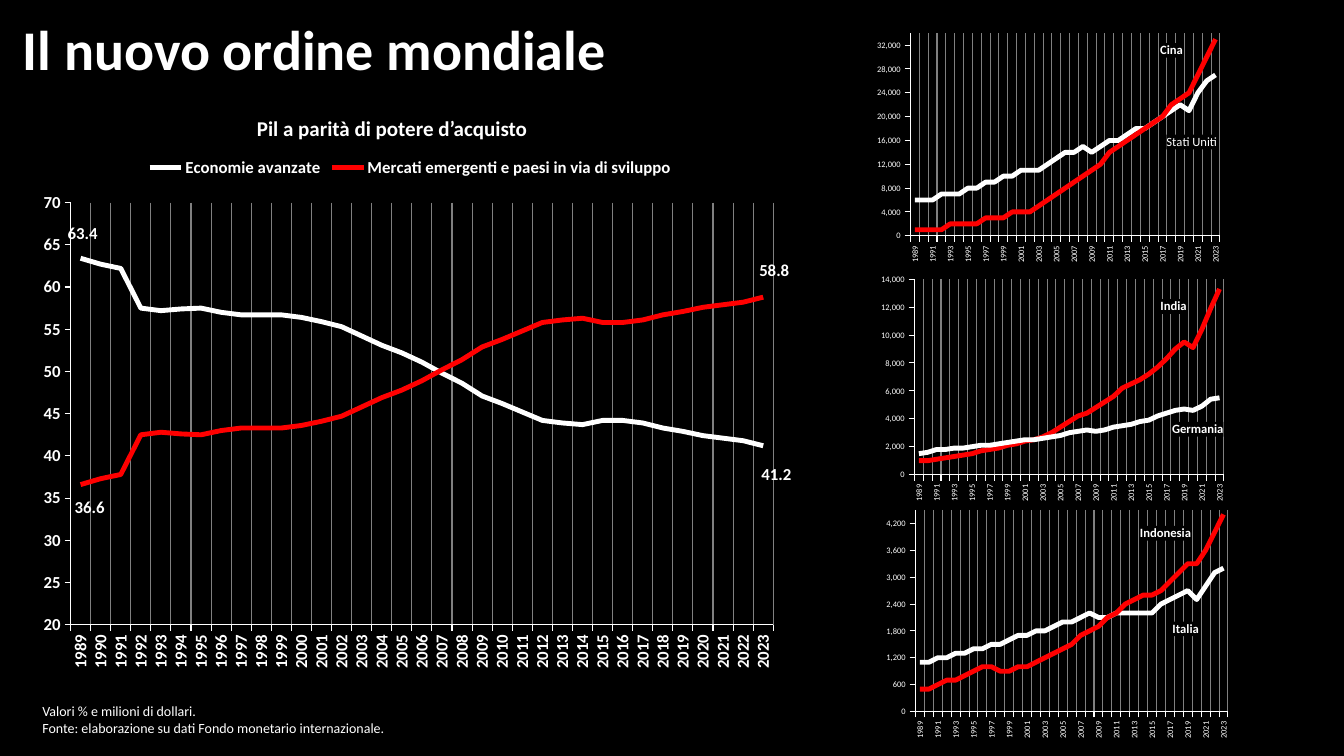
"""Build the "Il nuovo ordine mondiale" slide with one large and three small line charts."""
from dataclasses import dataclass, field

from pptx import Presentation
from pptx.chart.data import CategoryChartData
from pptx.dml.color import RGBColor
from pptx.enum.chart import XL_CHART_TYPE as ChartType, XL_LABEL_POSITION as LabelPosition
from pptx.enum.chart import XL_LEGEND_POSITION as LegendPosition, XL_TICK_MARK as TickMark
from pptx.enum.text import MSO_ANCHOR as Anchor, PP_ALIGN as Align
from pptx.oxml import parse_xml
from pptx.oxml.ns import nsdecls, qn
from pptx.util import Inches, Pt


@dataclass(frozen=True)
class Theme:
    """Colours and type sizes of the slide."""
    black: RGBColor = RGBColor(0, 0, 0)
    white: RGBColor = RGBColor(255, 255, 255)
    red: RGBColor = RGBColor(255, 0, 0)
    grid: RGBColor = RGBColor(128, 128, 128)
    font: str = "Calibri"
    title: float = 40
    subtitle: float = 15
    note: float = 10
    main_chart: float = 12
    small_chart: float = 6
    country: float = 9
    series_line: float = 3.5
    thin_line: float = 0.75


THEME = Theme()
YEARS = [str(year) for year in range(1989, 2024)]


@dataclass(frozen=True)
class Box:
    """A rectangle in inches."""
    left: float
    top: float
    width: float
    height: float


@dataclass(frozen=True)
class Label:
    """A point label centred at a place in inches; empty text shows the value."""
    index: int
    x: float
    y: float
    text: str = ""
    bold: bool = True


@dataclass(frozen=True)
class Line:
    """One series of a chart."""
    name: str
    color: RGBColor
    values: list[float]
    labels: list[Label]


@dataclass(frozen=True)
class LineChart:
    """A line chart with its plot area and value scale."""
    box: Box
    plot: Box
    low: float
    high: float
    step: float
    lines: list[Line]
    number_format: str = "#,##0"
    size: float = THEME.small_chart
    label_size: float = THEME.country
    bold: bool = False
    legend: bool = False
    year_skip: int = 2


@dataclass(frozen=True)
class TextBlock:
    """A text box with equal formatting in all paragraphs."""
    box: Box
    paragraphs: list[str]
    size: float
    bold: bool = False
    align: Align = Align.LEFT
    anchor: Anchor = Anchor.MIDDLE
    frame: dict = field(default_factory=lambda: dict(
        margin_left=Inches(0.13), margin_right=Inches(0.13),
        margin_top=Inches(0.07), margin_bottom=Inches(0.07)))


TEXTS = [
    TextBlock(Box(0.13, 0, 9, 0.95), ["Il nuovo ordine mondiale"], THEME.title, True, frame={}),
    TextBlock(Box(0.29, 6.9, 4.55, 0.47),
              ["Valori % e milioni di dollari.",
               "Fonte: elaborazione su dati Fondo monetario internazionale."],
              THEME.note, align=Align.JUSTIFY),
    TextBlock(Box(1.86, 1.08, 4.06, 0.39), ["Pil a parità di potere d’acquisto"],
              THEME.subtitle, True, Align.CENTER, Anchor.TOP),
]

ADVANCED = [63.4, 62.7, 62.2, 57.5, 57.2, 57.4, 57.5, 57.0, 56.7, 56.7, 56.7, 56.4, 55.9, 55.3,
            54.2, 53.1, 52.2, 51.1, 49.8, 48.6, 47.1, 46.2, 45.2, 44.2, 43.9, 43.7, 44.2, 44.2,
            43.9, 43.3, 42.9, 42.4, 42.1, 41.8, 41.2]
EMERGING = [round(100 - share, 1) for share in ADVANCED]
UNITED_STATES = [6000, 6000, 6000, 7000, 7000, 7000, 8000, 8000, 9000, 9000, 10000, 10000, 11000,
                 11000, 11000, 12000, 13000, 14000, 14000, 15000, 14000, 15000, 16000, 16000,
                 17000, 18000, 18000, 19000, 20000, 21000, 22000, 21000, 24000, 26000, 27000]
CHINA = [1000, 1000, 1000, 1000, 2000, 2000, 2000, 2000, 3000, 3000, 3000, 4000, 4000, 4000, 5000,
         6000, 7000, 8000, 9000, 10000, 11000, 12000, 14000, 15000, 16000, 17000, 18000, 19000,
         20000, 22000, 23000, 24000, 27000, 30000, 33000]
INDIA = [1000, 1000, 1100, 1200, 1300, 1400, 1500, 1700, 1800, 1900, 2100, 2200, 2400, 2500, 2700,
         3000, 3400, 3800, 4200, 4400, 4800, 5200, 5600, 6200, 6500, 6800, 7200, 7700, 8300, 9000,
         9500, 9100, 10400, 11900, 13300]
GERMANY = [1500, 1600, 1800, 1800, 1900, 1900, 2000, 2100, 2100, 2200, 2300, 2400, 2500, 2500,
           2600, 2700, 2800, 3000, 3100, 3200, 3100, 3200, 3400, 3500, 3600, 3800, 3900, 4200,
           4400, 4600, 4700, 4600, 4900, 5400, 5500]
ITALY = [1100, 1100, 1200, 1200, 1300, 1300, 1400, 1400, 1500, 1500, 1600, 1700, 1700, 1800, 1800,
         1900, 2000, 2000, 2100, 2200, 2100, 2100, 2200, 2200, 2200, 2200, 2200, 2400, 2500, 2600,
         2700, 2500, 2800, 3100, 3200]
INDONESIA = [500, 500, 600, 700, 700, 800, 900, 1000, 1000, 900, 900, 1000, 1000, 1100, 1200, 1300,
             1400, 1500, 1700, 1800, 1900, 2100, 2200, 2400, 2500, 2600, 2600, 2700, 2900, 3100,
             3300, 3300, 3600, 4000, 4400]

CHARTS = [
    LineChart(Box(0.29, 1.45, 7.56, 5.29), Box(0.7, 2.01, 6.97, 4.19), 20, 70, 5, [
        Line("Economie avanzate", THEME.white, ADVANCED,
             [Label(0, 0.82, 2.32), Label(34, 7.7, 4.71)]),
        Line("Mercati emergenti e paesi in via di sviluppo", THEME.red, EMERGING,
             [Label(0, 0.89, 5.04), Label(34, 7.68, 2.69)]),
    ], "0", THEME.main_chart, THEME.main_chart, True, True, 1),
    LineChart(Box(8.64, 0.29, 3.54, 2.36), Box(9.03, 0.33, 3.07, 2.01), 0, 34000, 4000, [
        Line("Stati Uniti", THEME.white, UNITED_STATES,
             [Label(29, 11.82, 1.41, "Stati Uniti", False)]),
        Line("Cina", THEME.red, CHINA, [Label(29, 11.62, 0.5, "Cina")]),
    ]),
    LineChart(Box(8.68, 2.67, 3.54, 2.36), Box(9.07, 2.77, 3.07, 1.94), 0, 14000, 2000, [
        Line("India", THEME.red, INDIA, [Label(29, 11.64, 3.04, "India")]),
        Line("Germania", THEME.white, GERMANY, [Label(29, 11.88, 4.26, "Germania")]),
    ]),
    LineChart(Box(8.71, 5.01, 3.54, 2.36), Box(9.08, 5.06, 3.1, 2), 0, 4500, 600, [
        Line("Italia", THEME.white, ITALY, [Label(19, 11.76, 6.24, "Italia")]),
        Line("Indonesia", THEME.red, INDONESIA, [Label(29, 11.56, 5.29, "Indonesia")]),
    ]),
]


def apply(target, values: dict) -> None:
    """Set each named attribute on the target."""
    for name, value in values.items():
        setattr(target, name, value)


def style_font(font, size: float, bold: bool) -> None:
    """Give a font the theme's face and colour."""
    apply(font, dict(name=THEME.font, size=Pt(size), bold=bold))
    font.color.rgb = THEME.white


def style_line(line, color: RGBColor, width: float) -> None:
    """Give a line its colour and width."""
    line.color.rgb = color
    line.width = Pt(width)


def inches(box: Box) -> list[int]:
    """Return the box as lengths."""
    return [Inches(side) for side in (box.left, box.top, box.width, box.height)]


def chart_layout(**values: float):
    """Return a manual layout element; a width makes it an inner plot layout."""
    modes = {"layoutTarget": "inner", "xMode": "edge", "yMode": "edge"} if "w" in values else {}
    items = "".join(f'<c:{name} val="{value}"/>' for name, value in {**modes, **values}.items())
    return parse_xml(f'<c:layout {nsdecls("c")}><c:manualLayout>{items}</c:manualLayout></c:layout>')


def chart_fill(fill: str):
    """Return chart shape properties with the given fill and no line."""
    return parse_xml(f'<c:spPr {nsdecls("c", "a")}>{fill}<a:ln><a:noFill/></a:ln></c:spPr>')


def add_text(slide, block: TextBlock) -> None:
    """Add one text box."""
    frame = slide.shapes.add_textbox(*inches(block.box)).text_frame
    apply(frame, dict(word_wrap=True, vertical_anchor=block.anchor, **block.frame))
    frame.text = "\n".join(block.paragraphs)
    for paragraph in frame.paragraphs:
        paragraph.alignment = block.align
        style_font(paragraph.runs[0].font, block.size, block.bold)


def add_label(series, line: Line, label: Label, spec: LineChart) -> None:
    """Label one point and move the label from the point to its place."""
    data_label = series.points[label.index].data_label
    if label.text:
        data_label.text_frame.text = label.text
        font = data_label.text_frame.paragraphs[0].runs[0].font
    else:
        font = data_label.font
    style_font(font, spec.label_size, label.bold)
    data_label.position = LabelPosition.CENTER
    plot, value = spec.plot, line.values[label.index]
    point_x = plot.left + plot.width * (label.index + 0.5) / len(YEARS)
    point_y = plot.top + plot.height * (spec.high - value) / (spec.high - spec.low)
    element = series.data_labels._element.xpath(f'c:dLbl[c:idx/@val="{label.index}"]')[0]
    place = chart_layout(x=(label.x - point_x) / spec.box.width,
                         y=(label.y - point_y) / spec.box.height)
    element.find(qn("c:idx")).addnext(place)
    text = element.find(qn("c:tx"))
    fill = chart_fill(f'<a:solidFill><a:srgbClr val="{THEME.black}"/></a:solidFill>')
    (place if text is None else text).addnext(fill)


def add_line_chart(slide, spec: LineChart) -> None:
    """Add one line chart with its axes, series and labels."""
    data = CategoryChartData(number_format="General")
    data.categories = YEARS
    for line in spec.lines:
        data.add_series(line.name, line.values)
    chart = slide.shapes.add_chart(ChartType.LINE, *inches(spec.box), data).chart
    apply(chart, dict(has_title=False, has_legend=spec.legend))
    style_font(chart.font, spec.size, spec.bold)
    if spec.legend:
        apply(chart.legend, dict(position=LegendPosition.TOP, include_in_layout=False))
        style_font(chart.legend.font, spec.size, spec.bold)
    chart.plots[0].vary_by_categories = False

    years, scale = chart.category_axis, chart.value_axis
    apply(scale, dict(minimum_scale=spec.low, maximum_scale=spec.high, major_unit=spec.step))
    apply(scale.tick_labels, dict(number_format=spec.number_format, number_format_is_linked=False))
    for axis, has_grid in ((years, True), (scale, False)):
        apply(axis, dict(has_major_gridlines=has_grid, major_tick_mark=TickMark.OUTSIDE,
                         minor_tick_mark=TickMark.NONE))
        style_line(axis.format.line, THEME.white, THEME.thin_line)
        style_font(axis.tick_labels.font, spec.size, spec.bold)
    style_line(years.major_gridlines.format.line, THEME.grid, THEME.thin_line)
    years._element.xpath("c:txPr/a:bodyPr")[0].set("rot", "-5400000")
    skip = parse_xml(f'<c:tickLblSkip {nsdecls("c")} val="{spec.year_skip}"/>')
    years._element.find(qn("c:noMultiLvlLbl")).addprevious(skip)

    for series, line in zip(chart.plots[0].series, spec.lines):
        series.smooth = False
        style_line(series.format.line, line.color, THEME.series_line)
        series.data_labels.show_value = False
        for leader in series.data_labels._element.xpath("c:showLeaderLines"):
            leader.set("val", "0")
        for label in line.labels:
            add_label(series, line, label, spec)

    area = chart._chartSpace.xpath("c:chart/c:plotArea")[0]
    for old in area.xpath("c:layout"):
        area.remove(old)
    box, plot = spec.box, spec.plot
    area.insert(0, chart_layout(x=(plot.left - box.left) / box.width,
                                y=(plot.top - box.top) / box.height,
                                w=plot.width / box.width, h=plot.height / box.height))
    chart._chartSpace.find(qn("c:chart")).addnext(chart_fill("<a:noFill/>"))


def main() -> None:
    """Build and save the presentation."""
    presentation = Presentation()
    apply(presentation, dict(slide_width=Inches(13.33), slide_height=Inches(7.5)))
    slide = presentation.slides.add_slide(presentation.slide_layouts[6])
    slide.background.fill.solid()
    slide.background.fill.fore_color.rgb = THEME.black
    for block in TEXTS:
        add_text(slide, block)
    for spec in CHARTS:
        add_line_chart(slide, spec)
    presentation.save("out.pptx")


if __name__ == "__main__":
    main()
